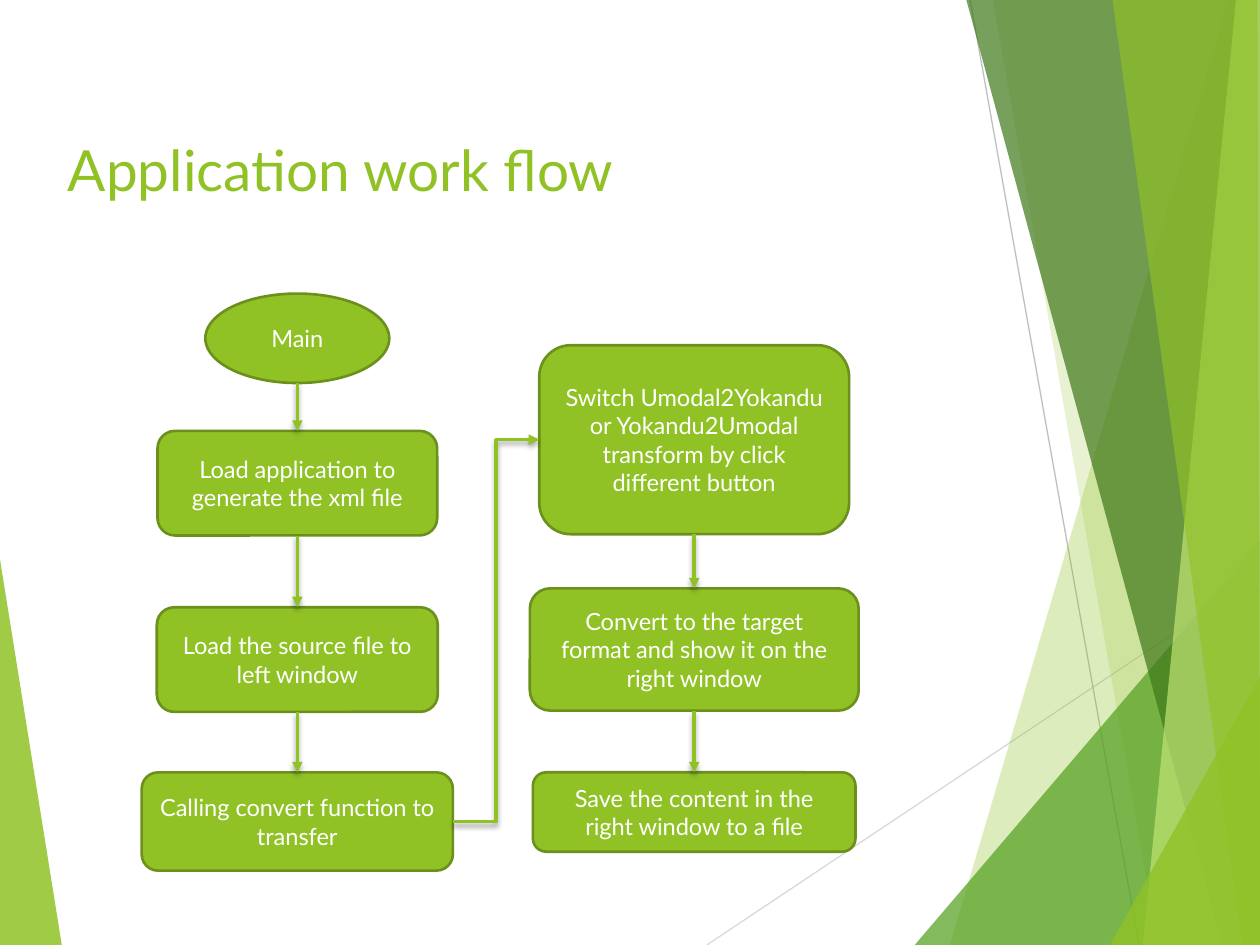
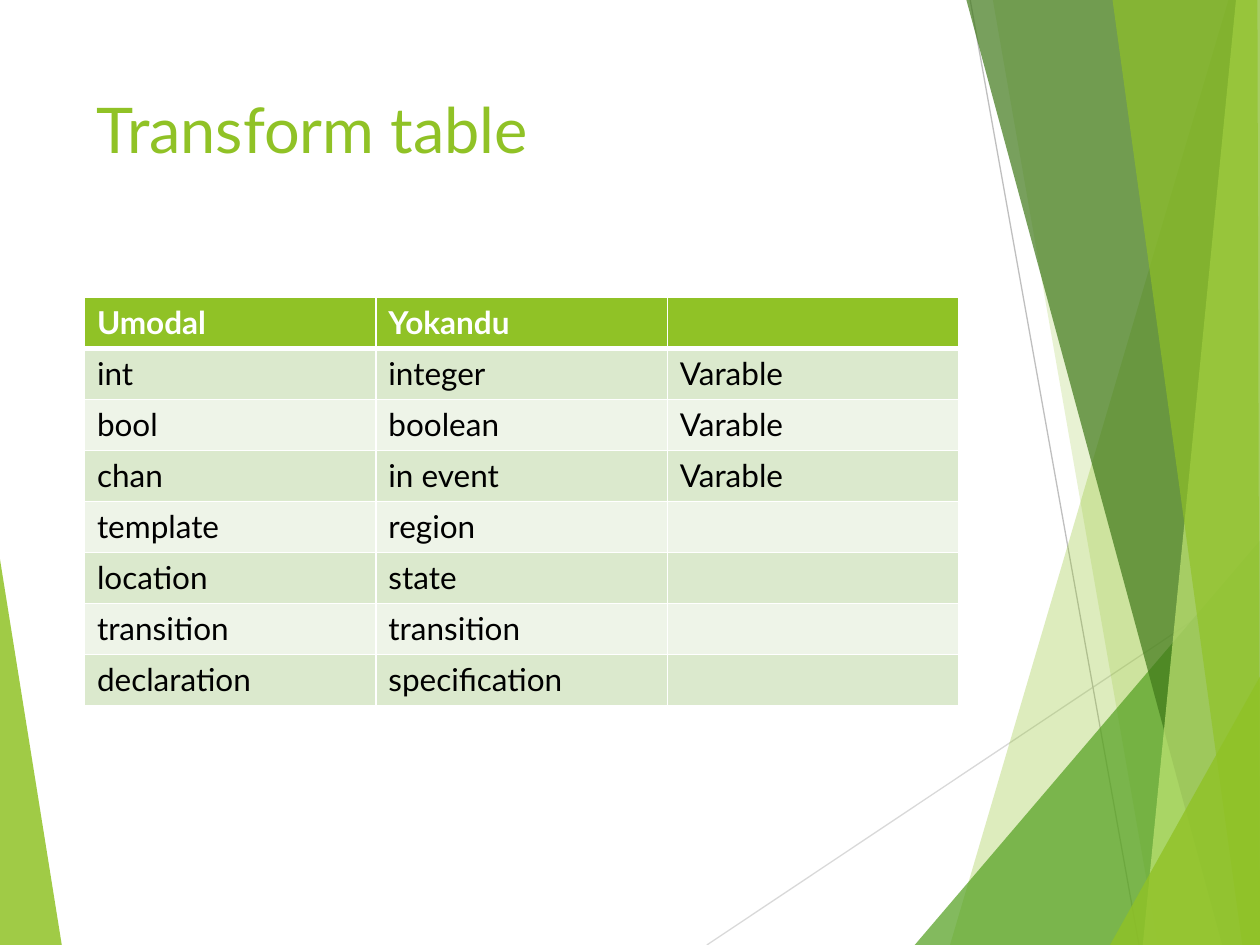
"""Build two slides on a model converter: its work flow and its transform table."""
from lxml import etree
from pptx import Presentation, util as u
from pptx.dml.color import RGBColor
from pptx.enum import shapes, text
from pptx.oxml import ns

LIME = RGBColor(0x90, 0xC2, 0x26)
EDGE = RGBColor(0x6B, 0x90, 0x1C)
GREEN = RGBColor(0x54, 0xA0, 0x21)
DARK = RGBColor(0x3F, 0x78, 0x19)
PALE = RGBColor(0xC0, 0xE4, 0x74)
SILVER = RGBColor(0xD9, 0xD9, 0xD9)
GREY = RGBColor(0xBF, 0xBF, 0xBF)
MINT = RGBColor(0xDB, 0xE9, 0xCD)
MIST = RGBColor(0xEE, 0xF4, 0xE8)
WHITE = RGBColor(0xFF, 0xFF, 0xFF)
BLACK = RGBColor(0, 0, 0)
FONT = "Lato"

RAYS = [
    (((5.61, 7.5), (10, 4.57)), SILVER),
    (((7.7, 0), (9.04, 7.5)), GREY),
]
BANDS = [
    (((0, 4.44), (0.49, 7.5), (0, 7.5)), LIME, 85),
    (((9.75, 0), (7.54, 7.5), (10, 7.5), (10, 0)), LIME, 30),
    (((7.88, 0), (9.19, 7.5), (10, 7.5), (10, 0)), LIME, 20),
    (((7.26, 7.5), (10, 4.29), (10, 7.5)), GREEN, 72),
    (((7.67, 0), (9.7, 7.5), (10, 7.5), (10, 0)), DARK, 70),
    (((9.81, 0), (9.07, 7.5), (10, 7.5), (10, 0)), PALE, 70),
    (((8.83, 0), (9.86, 7.5), (10, 7.5), (9.98, 0)), LIME, 65),
    (((8.81, 7.5), (10, 5.37), (10, 7.5)), LIME, 80),
]
TITLES = [
    ("Application work flow", 0.44, 1.02, 7.05, 1.08, 32.4),
    ("Transform table", 0.67, 0.67, 6.94, 0.94, 36),
]


def write(frame, words, size, color, bold=False):
    run = frame.paragraphs[0].add_run()
    run.text = words
    run.font.name = FONT
    run.font.size = u.Pt(size)
    run.font.bold = bold
    run.font.color.rgb = color


def draw(slide, kind, start, end, color, width):
    ends = [u.Inches(v) for v in (*start, *end)]
    line = slide.shapes.add_connector(kind, *ends)
    line.line.color.rgb = color
    line.line.width = u.Pt(width)
    glow = etree.SubElement(line._element.spPr, ns.qn("a:effectLst"))
    return line, glow


deck = Presentation()
deck.slide_width, deck.slide_height = u.Inches(10), u.Inches(7.5)

for title, x, y, w, h, size in TITLES:
    slide = deck.slides.add_slide(deck.slide_layouts[6])
    for (start, end), color in RAYS:
        draw(slide, shapes.MSO_CONNECTOR.STRAIGHT, start, end, color, 0.75)
    for points, color, alpha in BANDS:
        spots = [(u.Inches(a), u.Inches(b)) for a, b in points]
        pen = slide.shapes.build_freeform(*spots[0])
        pen.add_line_segments(spots[1:], close=True)
        band = pen.convert_to_shape()
        band.shadow.inherit = False
        band.line.fill.background()
        band.fill.solid()
        band.fill.fore_color.rgb = color
        tint = band._element.spPr.find(".//" + ns.qn("a:srgbClr"))
        etree.SubElement(tint, ns.qn("a:alpha"), val=str(alpha * 1000))
    box = slide.shapes.add_textbox(*[u.Inches(v) for v in (x, y, w, h)])
    box.text_frame.word_wrap = True
    write(box.text_frame, title, size, LIME)

flow, chart = deck.slides

COLUMNS = [
    (2.36, [
        ("Main", 2.33, 1.46, 0.71),
        ("Load application to generate the xml file", 3.42, 2.22, 0.83),
        ("Load the source file to left window", 4.82, 2.23, 0.83),
        ("Calling convert function to transfer", 6.13, 2.47, 0.78),
    ]),
    (5.51, [
        ("Switch Umodal2Yokandu or Yokandu2Umodal transform by click different button",
         2.74, 2.46, 1.5),
        ("Convert to the target format and show it on the right window", 4.67, 2.61, 0.97),
        ("Save the content in the right window to a file", 6.13, 2.56, 0.63),
    ]),
]
steps, links = [], []
for mid, column in COLUMNS:
    for row, (words, top, wide, high) in enumerate(column):
        oval = words == "Main"
        kind = shapes.MSO_SHAPE.OVAL if oval else shapes.MSO_SHAPE.ROUNDED_RECTANGLE
        step = flow.shapes.add_shape(
            kind, *[u.Inches(v) for v in (mid - wide / 2, top, wide, high)])
        step.shadow.inherit = False
        step.fill.solid()
        step.fill.fore_color.rgb = LIME
        step.line.color.rgb = EDGE
        step.line.width = u.Pt(1.5)
        frame = step.text_frame
        frame.word_wrap = True
        frame.vertical_anchor = text.MSO_ANCHOR.MIDDLE
        frame.paragraphs[0].alignment = text.PP_ALIGN.CENTER
        write(frame, words, 13.5, WHITE)
        if row:
            prior = column[row - 1]
            links.append((shapes.MSO_CONNECTOR.STRAIGHT, (mid, prior[1] + prior[3]),
                          (mid, top), steps[-1], 2, step, 0))
        steps.append(step)
links.append((shapes.MSO_CONNECTOR.ELBOW, (3.59, 6.52), (4.28, 3.49),
              steps[3], 3, steps[4], 1))

for kind, start, end, source, out, target, into in links:
    arrow, glow = draw(flow, kind, start, end, LIME, 2)
    if source is not steps[0]:
        arrow.begin_connect(source, out)
    arrow.end_connect(target, into)
    etree.SubElement(arrow.line._get_or_add_ln(), ns.qn("a:tailEnd"), type="triangle")
    shade = etree.SubElement(glow, ns.qn("a:outerShdw"), blurRad=str(u.Pt(3)),
                             dist=str(u.Pt(2)), dir="5400000", rotWithShape="0")
    tone = etree.SubElement(shade, ns.qn("a:srgbClr"), val=str(BLACK))
    etree.SubElement(tone, ns.qn("a:alpha"), val="35000")

ROWS = [
    ("Umodal", "Yokandu", ""),
    ("int", "integer", "Varable"),
    ("bool", "boolean", "Varable"),
    ("chan", "in event", "Varable"),
    ("template", "region", ""),
    ("location", "state", ""),
    ("transition", "transition", ""),
    ("declaration", "specification", ""),
]
grid = chart.shapes.add_table(
    len(ROWS), 3, *[u.Inches(v) for v in (0.67, 2.36, 6.94, 3.24)]).table
for row, entry in enumerate(ROWS):
    head = row == 0
    for col, words in enumerate(entry):
        cell = grid.cell(row, col)
        props = cell._tc.get_or_add_tcPr()
        for side in "LRTB":
            thick = (row, side) in ((0, "B"), (1, "T"))
            rule = etree.SubElement(props, ns.qn("a:ln" + side),
                                    w=str(u.Pt(3 if thick else 1)))
            ink = etree.SubElement(rule, ns.qn("a:solidFill"))
            etree.SubElement(ink, ns.qn("a:srgbClr"), val=str(WHITE))
        cell.fill.solid()
        cell.fill.fore_color.rgb = LIME if head else MINT if row % 2 else MIST
        if words:
            write(cell.text_frame, words, 18, WHITE if head else BLACK, head)

deck.save("out.pptx")
